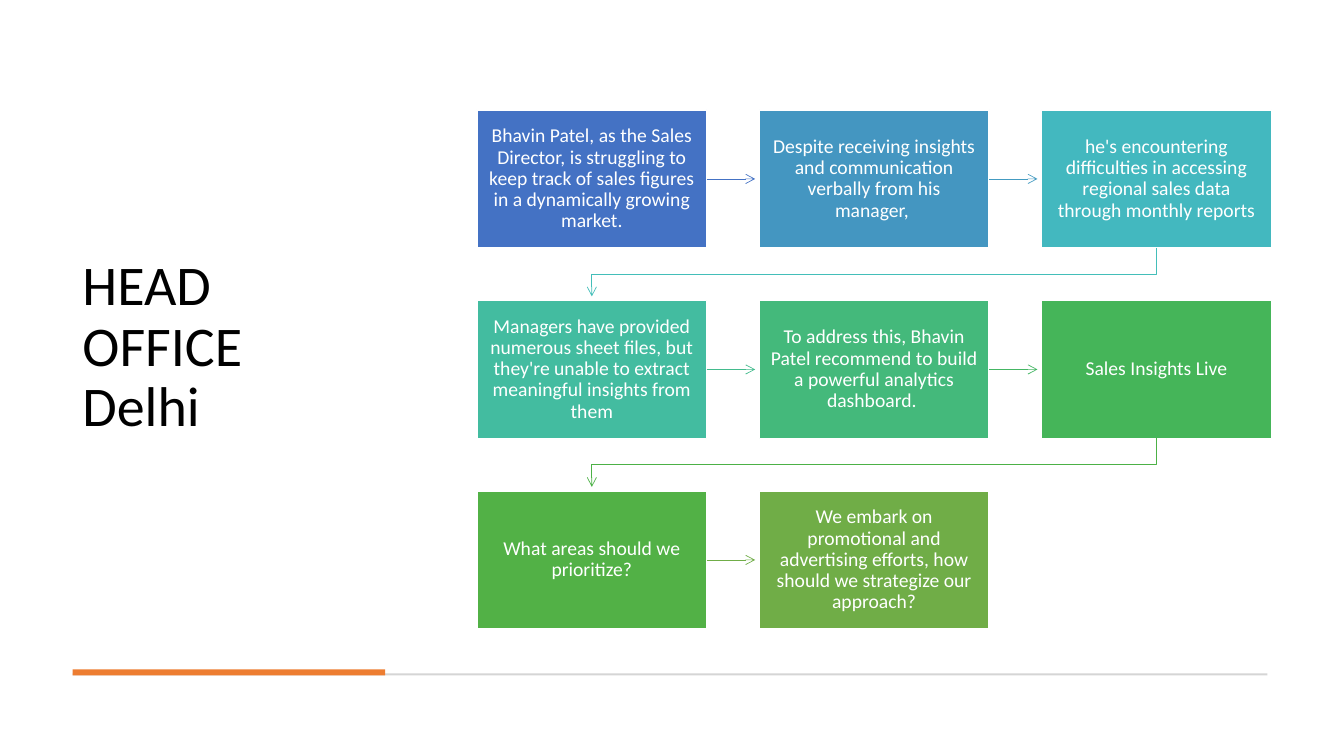
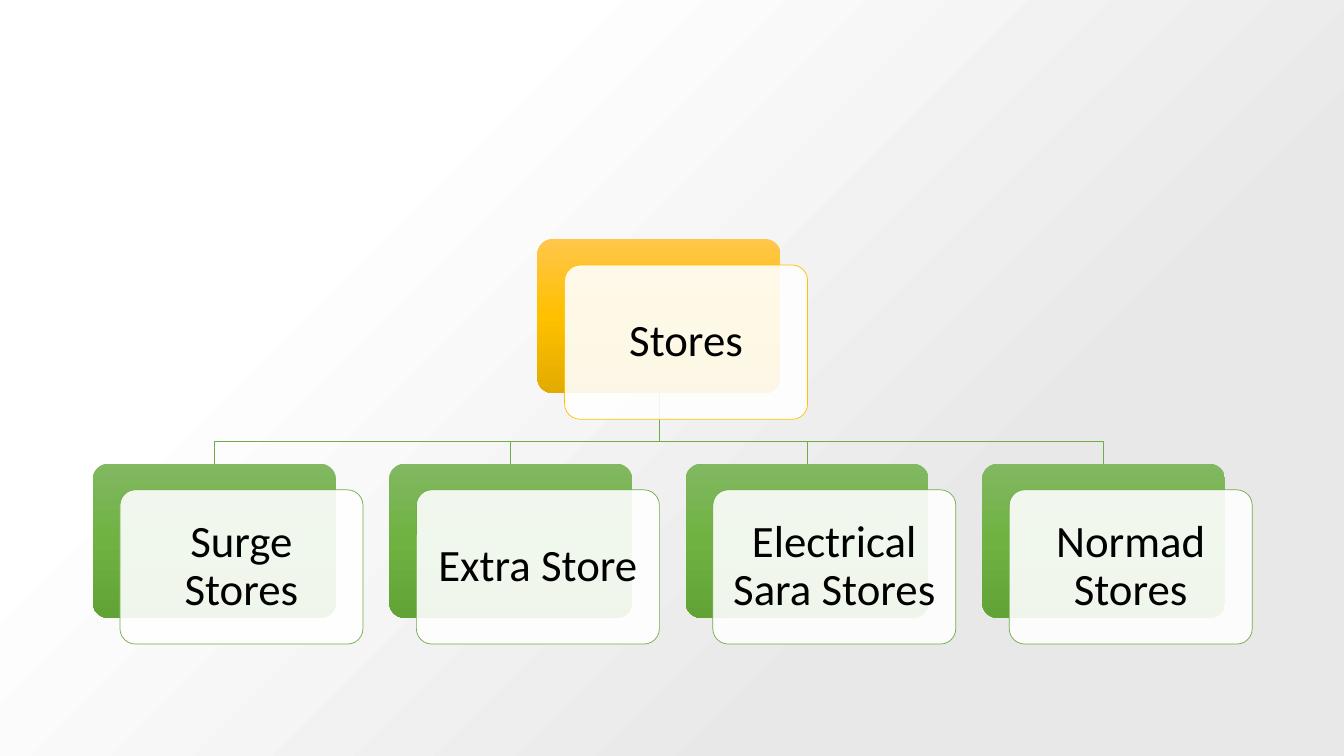
from dataclasses import dataclass
from typing import Any, Optional

import lxml.etree
import pptx
import pptx.dml.color
import pptx.enum.shapes
import pptx.enum.text
import pptx.oxml.ns
import pptx.util

Inches = pptx.util.Inches
Pt = pptx.util.Pt
qn = pptx.oxml.ns.qn
Shapes = pptx.enum.shapes.MSO_SHAPE
Align = pptx.enum.text.PP_ALIGN
Point = tuple[float, float]
Stops = tuple[tuple[int, str], ...]


@dataclass(frozen=True)
class Theme:
    font: str = "Calibri"
    black: str = "000000"
    white: str = "FFFFFF"
    orange: str = "ED7D31"
    rule: str = "D5D5D5"
    gold: str = "FFC000"
    green: str = "70AD47"
    gold_shades: Stops = ((0, "FFC64B"), (50, "FFC000"), (100, "E3AB00"))
    green_shades: Stops = ((0, "81B861"), (50, "6FB242"), (100, "62A336"))
    backdrop: Stops = ((26, "FFFFFF"), (72, "E8E8E8"))
    title_size: int = 40
    card_size: int = 32
    step_size: int = 14
    thin: float = 0.5
    border: float = 1
    leading: float = 0.9


@dataclass(frozen=True)
class Area:
    left: float
    top: float
    width: float
    height: float

    @property
    def right(self) -> float:
        return self.left + self.width

    @property
    def bottom(self) -> float:
        return self.top + self.height

    @property
    def center(self) -> float:
        return self.left + self.width / 2

    @property
    def middle(self) -> float:
        return self.top + self.height / 2

    def lengths(self) -> tuple[int, ...]:
        return tuple(Inches(v) for v in (self.left, self.top, self.width, self.height))


@dataclass(frozen=True)
class Step:
    text: str
    fill: str
    arrow: Optional[str] = None  # colour of the arrow to the next step


@dataclass(frozen=True)
class Card:
    text: str
    area: Area
    shades: Stops
    outline: str


THEME = Theme()

STEPS = (
    Step("Bhavin Patel, as the Sales Director, is struggling to keep track of sales "
         "figures in a dynamically growing market.", "4472C4", "4472C4"),
    Step("Despite receiving insights and communication verbally from his manager, ",
         "4496C1", "449BC1"),
    Step("he's encountering difficulties in accessing regional sales data through "
         "monthly reports", "43B8BF", "43BEB9"),
    Step("Managers have provided numerous sheet files, but they're unable to extract "
         "meaningful insights from them", "43BCA0", "43BB8D"),
    Step("To address this, Bhavin Patel recommend to build a powerful analytics "
         "dashboard. ", "44B97B", "45B664"),
    Step("Sales Insights Live", "45B559", "4CB146"),
    Step("What areas should we prioritize?", "52B146", "70AD47"),
    Step("We embark on promotional and advertising efforts, how should we strategize "
         "our approach?", "70AD47"),
)
STORES = ("Surge Stores", "Extra Store", "Electrical Sara Stores", "Normad Stores")

# Step grid
STEP_COLUMNS = 3
STEP_FIRST = Area(4.73, 1.09, 2.28, 1.37)
STEP_PITCH = (2.8, 1.89)
ARROW_GAP = 0.04

# Store tree
CARD_WIDTH, CARD_HEIGHT = 2.41, 1.53
CARD_OFFSET = (0.27, 0.26)
STORE_LEFT, STORE_TOP, STORE_PITCH = 0.92, 4.6, 2.94
BRANCH_TOP, BRANCH_BEND = 3.9, 4.38


def color(value: str) -> pptx.dml.color.RGBColor:
    return pptx.dml.color.RGBColor.from_string(value)


def write(box: Any, text: str, *, size: int, ink: str, align: Any = Align.CENTER,
          inset: Point = (0.1, 0.05)) -> None:
    """Put formatted text, centred vertically, in a shape or text box."""
    frame = box.text_frame
    frame.word_wrap = True
    frame.vertical_anchor = pptx.enum.text.MSO_ANCHOR.MIDDLE
    frame.margin_left = frame.margin_right = Inches(inset[0])
    frame.margin_top = frame.margin_bottom = Inches(inset[1])
    para = frame.paragraphs[0]
    para.text = text
    para.alignment = align
    para.line_spacing = THEME.leading
    for span in para.runs:
        span.font.name = THEME.font
        span.font.size = Pt(size)
        span.font.color.rgb = color(ink)


def add_box(page: Any, area: Area, *, fill: str = "", outline: str = "",
            weight: float = THEME.thin, opacity: int = 100,
            rounding: Optional[float] = None) -> Any:
    """Draw a plain or rounded rectangle."""
    kind = Shapes.RECTANGLE if rounding is None else Shapes.ROUNDED_RECTANGLE
    box = page.shapes.add_shape(kind, *area.lengths())
    box.shadow.inherit = False
    if rounding is not None:
        box.adjustments[0] = rounding
    if fill:
        box.fill.solid()
        box.fill.fore_color.rgb = color(fill)
        if opacity < 100:
            tint = box._element.spPr.find(".//" + qn("a:srgbClr"))
            lxml.etree.SubElement(tint, qn("a:alpha"), val=str(opacity * 1000))
    if outline:
        box.line.color.rgb = color(outline)
        box.line.width = Pt(weight)
    else:
        box.line.fill.background()
    return box


def shade(box: Any, stops: Stops, *, angle: int) -> None:
    """Fill a box with a linear gradient; the angle runs clockwise."""
    box.fill.gradient()
    box.fill.gradient_angle = 360 - angle
    stop_list = box._element.spPr.find(".//" + qn("a:gsLst"))
    for old in list(stop_list):
        stop_list.remove(old)
    for position, value in stops:
        stop = lxml.etree.SubElement(stop_list, qn("a:gs"), pos=str(position * 1000))
        lxml.etree.SubElement(stop, qn("a:srgbClr"), val=value)


def style_line(line_shape: Any, ink: str, *, arrow: bool = False) -> None:
    line_shape.line.color.rgb = color(ink)
    line_shape.line.width = Pt(THEME.thin)
    if arrow:
        lxml.etree.SubElement(line_shape.line._get_or_add_ln(), qn("a:tailEnd"), type="arrow")


def add_polyline(page: Any, points: list[Point], ink: str, *, arrow: bool = False) -> None:
    """Draw an open line through the points."""
    corners = [(Inches(x), Inches(y)) for x, y in points]
    builder = page.shapes.build_freeform(*corners[0])
    builder.add_line_segments(corners[1:], close=False)
    bent_line = builder.convert_to_shape()
    bent_line.shadow.inherit = False
    bent_line.fill.background()
    style_line(bent_line, ink, arrow=arrow)


def add_arrow(page: Any, source: Any, start: Area, target: Area, ink: str) -> None:
    """Draw an arrow from a step to its right-hand neighbour."""
    arrow = page.shapes.add_connector(
        pptx.enum.shapes.MSO_CONNECTOR.STRAIGHT, Inches(start.right), Inches(start.middle),
        Inches(target.left - ARROW_GAP), Inches(start.middle))
    arrow.begin_connect(source, 3)
    style_line(arrow, ink, arrow=True)
    lxml.etree.SubElement(arrow._element.spPr, qn("a:effectLst"))


def step_area(index: int) -> Area:
    row, column = divmod(index, STEP_COLUMNS)
    return Area(STEP_FIRST.left + column * STEP_PITCH[0],
                STEP_FIRST.top + row * STEP_PITCH[1], STEP_FIRST.width, STEP_FIRST.height)


def add_card(page: Any, card: Card) -> None:
    """Draw a shaded card with a translucent label in front."""
    shade(add_box(page, card.area, rounding=0.1), card.shades, angle=90)
    front = Area(card.area.left + CARD_OFFSET[0], card.area.top + CARD_OFFSET[1],
                 CARD_WIDTH, CARD_HEIGHT)
    label = add_box(page, front, fill=THEME.white, opacity=90, outline=card.outline,
                    rounding=0.1)
    write(label, card.text, size=THEME.card_size, ink=THEME.black, inset=(0.13, 0.13))


def build_head_office(page: Any) -> None:
    # Title and rules
    title = page.shapes.add_textbox(*Area(0.72, 0.47, 3.1, 5.97).lengths())
    write(title, "HEAD \vOFFICE \vDelhi", size=THEME.title_size, ink=THEME.black,
          align=Align.LEFT)
    add_box(page, Area(0.72, 6.68, 11.85, 0.02), fill=THEME.rule)
    add_box(page, Area(0.72, 6.64, 3.1, 0.06), fill=THEME.orange)

    # Steps, each with the arrow to the next
    for index, step in enumerate(STEPS):
        area, following = step_area(index), step_area(index + 1)
        box = add_box(page, area, fill=step.fill, outline=THEME.white, weight=THEME.border)
        write(box, step.text, size=THEME.step_size, ink=THEME.white, inset=(0.11, 0.12))
        if step.arrow is None:
            continue
        if following.top == area.top:
            add_arrow(page, box, area, following, step.arrow)
        else:
            bend = (area.bottom + following.top) / 2
            add_polyline(page, [(area.center, area.bottom), (area.center, bend),
                                (following.center, bend),
                                (following.center, following.top - ARROW_GAP)],
                         step.arrow, arrow=True)


def build_stores(page: Any, deck: Any) -> None:
    # Backdrop
    whole = Area(0, 0, deck.slide_width.inches, deck.slide_height.inches)
    shade(add_box(page, whole), THEME.backdrop, angle=45)

    # Cards
    root = Card("Stores", Area(5.33, 2.37, CARD_WIDTH, CARD_HEIGHT),
                THEME.gold_shades, THEME.gold)
    stores = [Card(name, Area(STORE_LEFT + index * STORE_PITCH, STORE_TOP,
                              CARD_WIDTH, CARD_HEIGHT), THEME.green_shades, THEME.green)
              for index, name in enumerate(STORES)]

    # Branches lie behind the cards
    for store in stores:
        trunk, tip = root.area.center, store.area.center
        add_polyline(page, [(trunk, BRANCH_TOP), (trunk, BRANCH_BEND),
                            (tip, BRANCH_BEND), (tip, STORE_TOP)], THEME.green)
    for card in (root, *stores):
        add_card(page, card)


def main() -> None:
    deck = pptx.Presentation()
    deck.slide_width, deck.slide_height = Inches(13.33), Inches(7.5)
    blank = deck.slide_layouts[6]
    build_head_office(deck.slides.add_slide(blank))
    build_stores(deck.slides.add_slide(blank), deck)
    deck.save("out.pptx")


if __name__ == "__main__":
    main()
